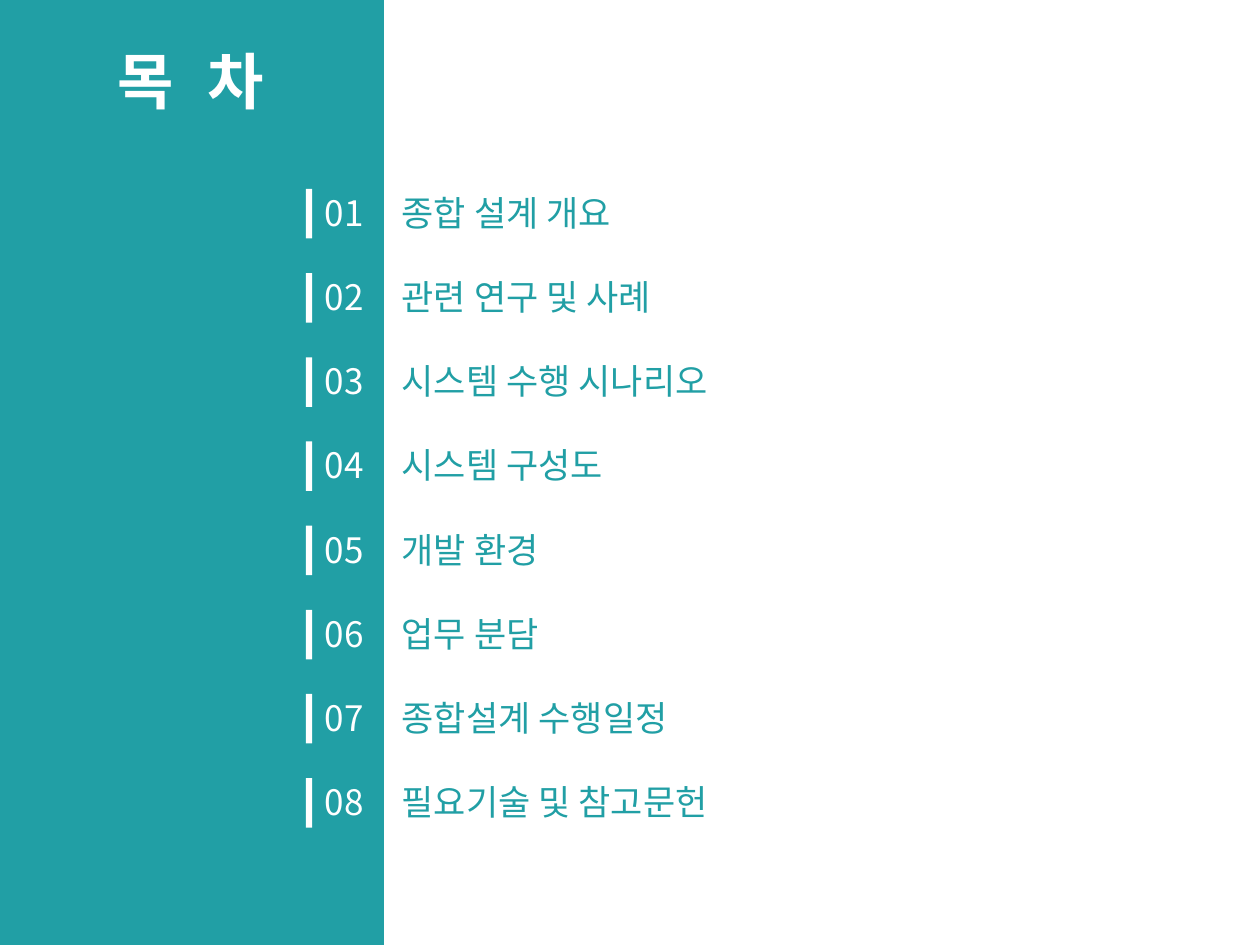
from pptx import Presentation
from pptx.dml.color import RGBColor
from pptx.enum import shapes as sh, text as tx
from pptx.oxml.ns import qn
from pptx.util import Pt

TEAL, WHITE = "219FA5", "FFFFFF"
LINE, PITCH = 24, 48.1  # text line height and row distance
ITEMS = [
    "종합 설계 개요",
    "관련 연구 및 사례",
    "시스템 수행 시나리오",
    "시스템 구성도",
    "개발 환경",
    "업무 분담",
    "종합설계 수행일정",
    "필요기술 및 참고문헌",
]


def color(code):
    return RGBColor.from_string(code)


def assign(obj, vals):
    for key, val in vals.items():
        setattr(obj, key, val)


def place(shape, x, y, w, h):
    assign(shape, dict(left=Pt(x), top=Pt(y), width=Pt(w), height=Pt(h)))


def add_bar(slide, x, y, w, h, fill):
    bar = slide.shapes.add_shape(sh.MSO_SHAPE.RECTANGLE, Pt(x), Pt(y), Pt(w), Pt(h))
    bar.shadow.inherit = False
    bar.fill.solid()
    bar.fill.fore_color.rgb = color(fill)
    bar.line.fill.background()


def add_run(para, words, size, face, code, bold=False):
    run = para.add_run()
    run.text = words
    assign(run.font, dict(size=Pt(size), name=face, bold=bold))
    run.font.color.rgb = color(code)
    # Hangul uses the East Asian face
    east = run.font._element.makeelement(qn("a:ea"), {"typeface": face})
    run.font._element.find(qn("a:latin")).addnext(east)


def set_title(slide, words):
    title = slide.shapes.title
    place(title, 0, 20.9, 218, 49.7)
    assign(title.text_frame, dict(
        word_wrap=True, auto_size=tx.MSO_AUTO_SIZE.NONE,
        vertical_anchor=tx.MSO_ANCHOR.MIDDLE))
    para = title.text_frame.paragraphs[0]
    para.alignment = tx.PP_ALIGN.CENTER
    add_run(para, words, 35, "Arial", WHITE, True)
    # Bring the title in front of the side panel
    slide.shapes._spTree.append(title._element)


def add_list(slide, items):
    box = slide.shapes.add_textbox(Pt(178.5), Pt(105.8), Pt(459.4), Pt(368.6))
    frame = box.text_frame
    frame.word_wrap = True
    for i, item in enumerate(items):
        para = frame.add_paragraph() if i else frame.paragraphs[0]
        assign(para, dict(line_spacing=Pt(LINE), space_after=Pt(PITCH - LINE)))
        # Hanging indent: the tab after the number lands on it
        props = para._p.get_or_add_pPr()
        props.set("marL", str(Pt(44)))
        props.set("indent", str(-Pt(44)))
        add_run(para, f"{i + 1:02}\t", 20, "Noto Sans CJK KR", WHITE)
        add_run(para, item, 20, "Noto Sans CJK KR", TEAL)


def main():
    prs = Presentation()
    assign(prs, dict(slide_width=Pt(720), slide_height=Pt(540)))
    slide = prs.slides.add_slide(prs.slide_layouts[5])

    # Side panel and heading
    add_bar(slide, 0, 0, 219.4, 540, TEAL)
    set_title(slide, "목  차")

    # Contents with a marker before each number
    add_list(slide, ITEMS)
    for i in range(len(ITEMS)):
        add_bar(slide, 174.8, 108 + i * PITCH, 3.6, 28.3, WHITE)

    prs.save("out.pptx")


if __name__ == "__main__":
    main()
